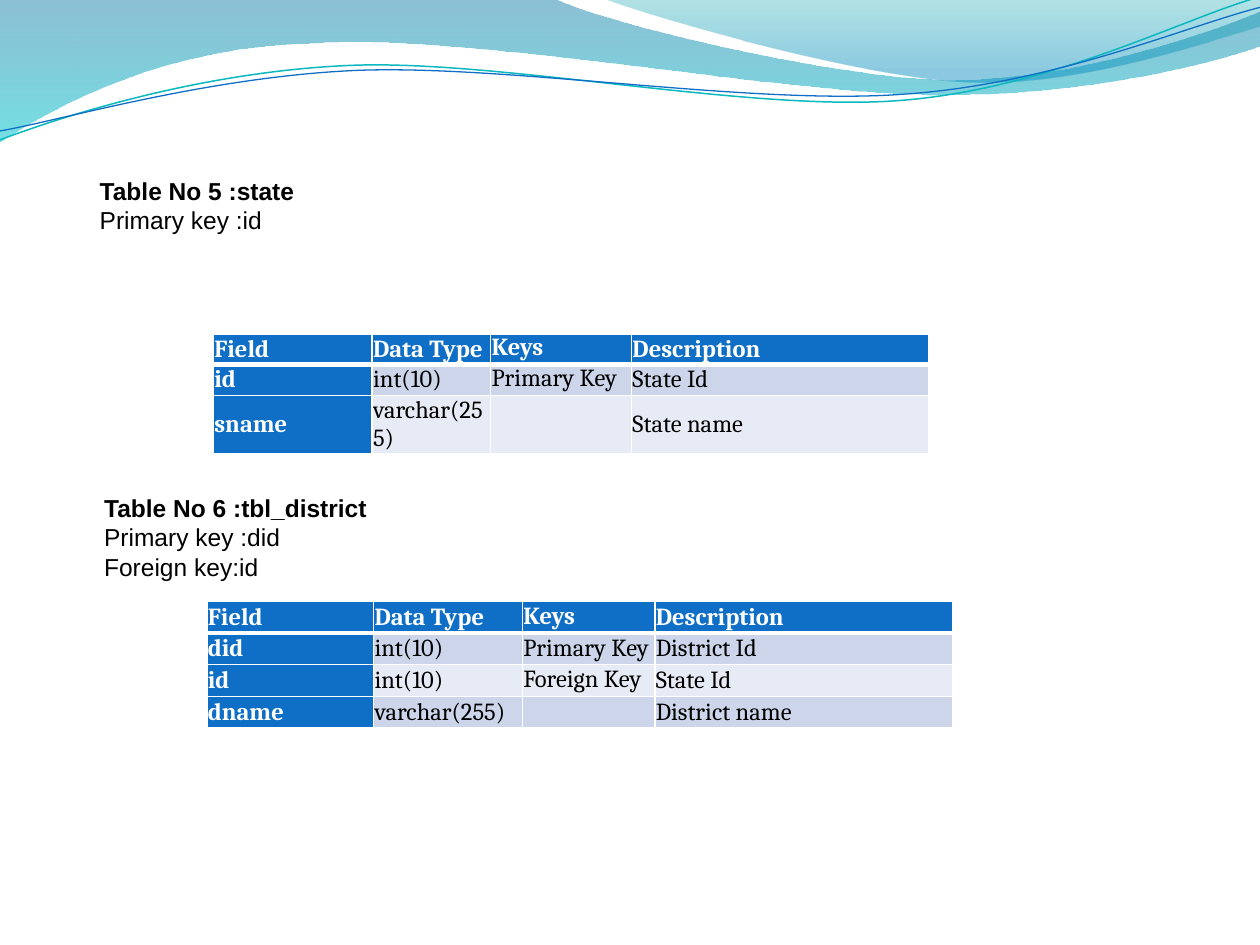
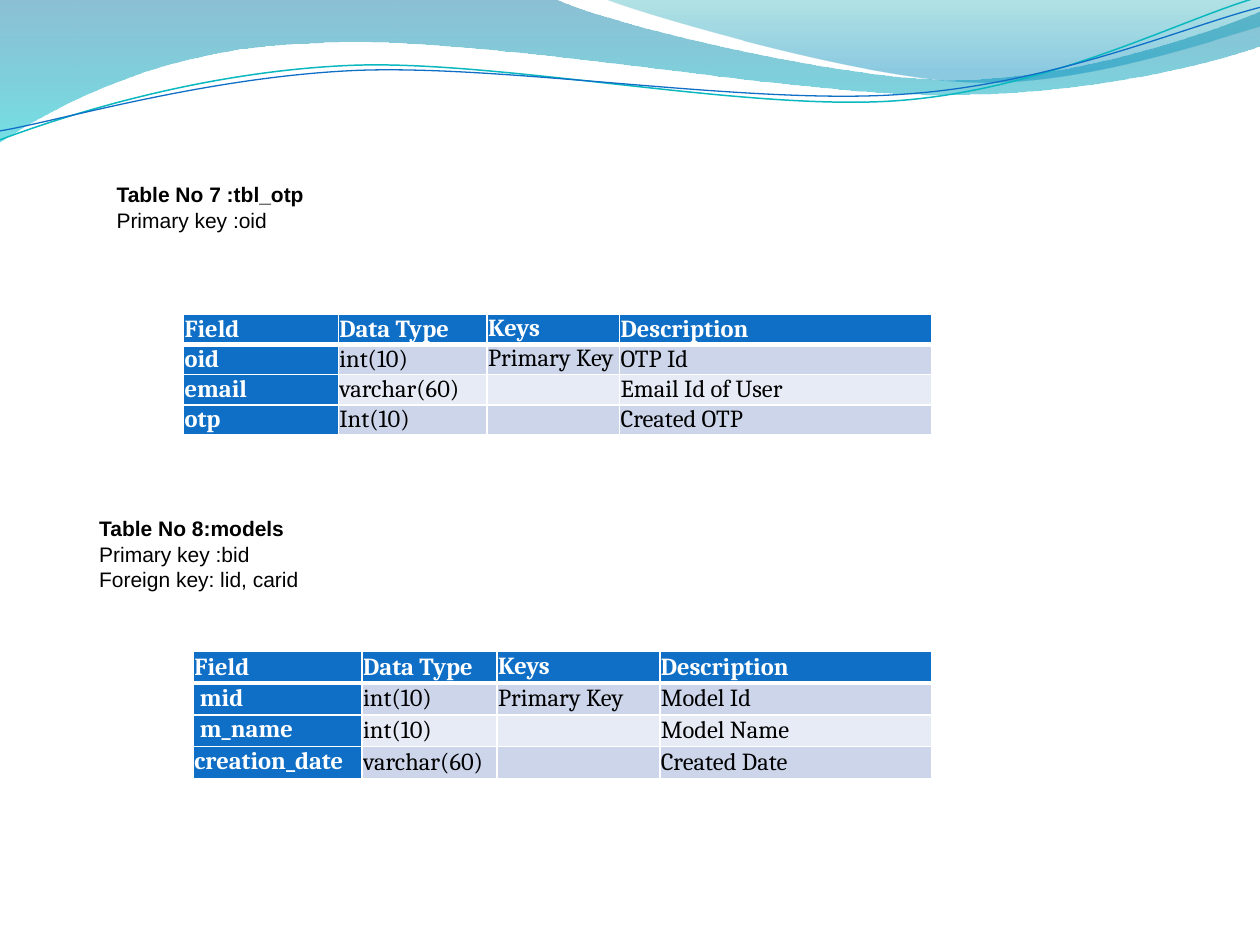
from dataclasses import dataclass

from lxml import etree
from pptx import Presentation
from pptx.dml.color import RGBColor
from pptx.enum.text import MSO_ANCHOR
from pptx.oxml.ns import qn
from pptx.util import Cm, Pt

TOP, MIDDLE = MSO_ANCHOR.TOP, MSO_ANCHOR.MIDDLE
BLANK_LAYOUT = 6


@dataclass(frozen=True)
class Theme:
    blue: str = "0F6FC6"
    teal: str = "0AB8BF"
    white: str = "FFFFFF"
    black: str = "000000"
    bands: tuple = ("CCD5EA", "E7EBF5")
    upper_wave: tuple = ((0, "0074A1", 45), (1, "00C6CF", 55))
    right_wave: tuple = ((0, "00A1A9", 30), (0.8, "008BBF", 45))
    caption_font: str = "Arial"
    table_font: str = "Cambria"
    table_size: int = 14
    border: float = 1
    header_border: float = 3


theme = Theme()


def add_run(p, text, font, size, color, bold):
    r = p.add_run()
    r.text = text
    r.font.name = font
    r.font.size = Pt(size)
    r.font.bold = bold
    r.font.color.rgb = RGBColor.from_string(color)


def add_border(tc_pr, side, width):
    ln = etree.SubElement(tc_pr, qn(f"a:ln{side}"), w=str(Pt(width)))
    fill = etree.SubElement(ln, qn("a:solidFill"))
    etree.SubElement(fill, qn("a:srgbClr"), val=theme.white)


waves = [
    dict(start=(0, 0), stops=theme.upper_wave, segments=[
        (11.18, -0.03),
        (12.09, 0.43, 16.87, 1.6, 19.25, 1.6),
        (21.67, 1.6, 24.33, 0.66, 25.4, 0.23),
        (25.43, 0.91),
        (24.97, 1.12, 22.1, 1.93, 18.95, 1.91),
        (15.8, 1.91, 9.7, 0.71, 6.53, 0.86),
        (3.28, 0.91, 1.17, 2.11, -0.03, 2.87),
        (0, 0)]),
    dict(start=(12.17, -0.03), stops=theme.right_wave, segments=[
        (12.93, 0.28, 17.32, 1.57, 19.53, 1.65),
        (21.74, 1.75, 24.41, 0.81, 25.4, 0.53),
        (25.4, 0),
        (12.17, -0.03)]),
    dict(start=(0, 2.82), line=(theme.teal, 0.85), segments=[
        (1.22, 2.36, 4.01, 1.45, 7.04, 1.32),
        (10.03, 1.19, 15.06, 2.26, 18.11, 2.03),
        (21.16, 1.8, 23.83, 0.38, 25.35, -0.05)]),
    dict(start=(0, 2.64), line=(theme.blue, 0.75), segments=[
        (1.19, 2.44, 4.17, 1.55, 7.19, 1.42),
        (10.24, 1.3, 15.16, 2.13, 18.21, 1.9),
        (21.23, 1.7, 23.9, 0.53, 25.4, 0.15)]),
]

header = ("Field", "Data Type", "Keys", "Description")
slides = [
    [
        dict(caption=("Table No 5 :state", "Primary key :id"), size=14, wrap=True,
             box=(1.09, 3.55, 24.31, 1.27), inset=(0.92, 0),
             at=(4.3, 6.73), height=2.54, cols=(3.2, 2.39, 2.84, 6),
             row_heights=(0.62, 0.62, 1.18), pad=0,
             rows=[("id", "int(10)", "Primary Key", "State Id"),
                   ("sname", "varchar(255)", "", "State name")]),
        dict(caption=("Table No 6 :tbl_district", "Primary key :did", "Foreign key:id"),
             size=14, wrap=False,
             box=(3.35, 8.61, 4.32, 3.89), inset=(-1.25, 1.33),
             at=(4.17, 12.12), height=3.18, cols=(3.36, 3, 2.67, 6),
             row_heights=(0.64,) * 4, pad=0.02,
             rows=[("did", "int(10)", "Primary Key", "District Id"),
                   ("id", "int(10)", "Foreign Key", "State Id"),
                   ("dname", "varchar(255)", "", "District name")]),
    ],
    [
        dict(caption=("Table No 7 :tbl_otp", "Primary key :oid"), size=12, wrap=True,
             box=(3.6, 3.53, 21.8, 1.93), inset=(-1.25, 0.14),
             at=(3.7, 6.33), height=3.18, cols=(3.12, 3, 2.67, 6.3),
             row_heights=(0.61,) * 4, pad=0,
             rows=[("oid", "int(10)", "Primary Key", "OTP Id"),
                   ("email", "varchar(60)", "", "Email Id of User"),
                   ("otp", "Int(10)", "", "Created OTP")]),
        dict(caption=("Table No 8:models", "Primary key :bid", "Foreign key: lid, carid"),
             size=12, wrap=False,
             box=(3.25, 9.27, 3.05, 3.45), inset=(-1.25, 1.13),
             at=(3.9, 13.13), height=2.59, cols=(3.4, 2.72, 3.28, 5.49),
             row_heights=(0.64,) * 4, pad=0.02, top_cols=(0, 2),
             rows=[(" mid ", "int(10)", "Primary Key", "Model Id"),
                   (" m_name", "int(10)", "", "Model Name"),
                   ("creation_date ", "varchar(60)", "", "Created Date ")]),
    ],
]

prs = Presentation()
prs.slide_width, prs.slide_height = Cm(25.4), Cm(19.05)
layout = prs.slide_layouts[BLANK_LAYOUT]
master_tree = prs.slide_master.element.cSld.spTree

for index, tables in enumerate(slides):
    s = prs.slides.add_slide(layout)

    if index == 0:
        for position, wave in enumerate(waves):
            points = [(Cm(x), Cm(y)) for segment in wave["segments"]
                      for x, y in zip(segment[::2], segment[1::2])]
            x, y = wave["start"]
            builder = s.shapes.build_freeform(Cm(x), Cm(y))
            builder.add_line_segments(points, close="stops" in wave)
            sp = builder.convert_to_shape()
            sp.shadow.inherit = False
            vertices = iter(list(sp.element.iter(qn("a:lnTo"))))
            for segment in wave["segments"]:
                vertex = next(vertices)
                if len(segment) == 6:
                    curve = etree.Element(qn("a:cubicBezTo"))
                    vertex.addprevious(curve)
                    for node in (vertex, next(vertices), next(vertices)):
                        curve.append(node[0])
                        node.getparent().remove(node)
            if "stops" in wave:
                sp.line.fill.background()
                sp.fill.gradient()
                sp.fill.gradient_angle = 270
                for stop, (place, color, _) in zip(sp.fill.gradient_stops, wave["stops"]):
                    stop.position = place
                    stop.color.rgb = RGBColor.from_string(color)
                colors = sp.element.spPr.iter(qn("a:srgbClr"))
                for clr, (_, _, opacity) in zip(colors, wave["stops"]):
                    etree.SubElement(clr, qn("a:alpha"), val=str(opacity * 1000))
            else:
                color, width = wave["line"]
                sp.fill.background()
                sp.line.color.rgb = RGBColor.from_string(color)
                sp.line.width = Pt(width)
            sp.name = f"Wave {position + 1}"
            sp.element.nvSpPr.cNvPr.set("id", str(100 + position))
            master_tree.insert(2 + position, sp.element)

    for entry in tables:
        rows = [header] + entry["rows"]
        cols = entry["cols"]
        left, top = entry["at"]
        frame = s.shapes.add_table(len(rows), len(cols), Cm(left), Cm(top),
                                   Cm(sum(cols)), Cm(entry["height"]))
        table = frame.table
        table.first_col = True
        for column, width in zip(table.columns, cols):
            column.width = Cm(width)
        for row, height in zip(table.rows, entry["row_heights"]):
            row.height = Cm(height)
        frame.height = Cm(entry["height"])
        for i, row in enumerate(rows):
            for j, text in enumerate(row):
                cell = table.cell(i, j)
                strong = i == 0 or j == 0
                at_top = j == 2 or (i > 0 and j in entry.get("top_cols", ()))
                cell.margin_left = cell.margin_right = Cm(0.02)
                cell.margin_top = cell.margin_bottom = Cm(entry["pad"])
                cell.vertical_anchor = TOP if at_top else MIDDLE
                tc_pr = cell._tc.get_or_add_tcPr()
                for side in "LRTB":
                    under_header = (i, side) in ((0, "B"), (1, "T"))
                    add_border(tc_pr, side, theme.header_border if under_header else theme.border)
                cell.fill.solid()
                fill = theme.blue if strong else theme.bands[(i - 1) % 2]
                cell.fill.fore_color.rgb = RGBColor.from_string(fill)
                p = cell.text_frame.paragraphs[0]
                if text:
                    add_run(p, text, theme.table_font, theme.table_size,
                            theme.white if strong else theme.black, strong)
                else:
                    etree.SubElement(p._p, qn("a:endParaRPr"), sz=str(theme.table_size * 100))

        box = s.shapes.add_textbox(*[Cm(length) for length in entry["box"]])
        tf = box.text_frame
        tf.word_wrap = entry["wrap"]
        tf.vertical_anchor = TOP
        tf.margin_left, tf.margin_top = [Cm(length) for length in entry["inset"]]
        tf.margin_right, tf.margin_bottom = Cm(0.25), 0
        for i, line in enumerate(entry["caption"]):
            p = tf.add_paragraph() if i else tf.paragraphs[0]
            add_run(p, line, theme.caption_font, entry["size"], theme.black, i == 0)

prs.save("out.pptx")
